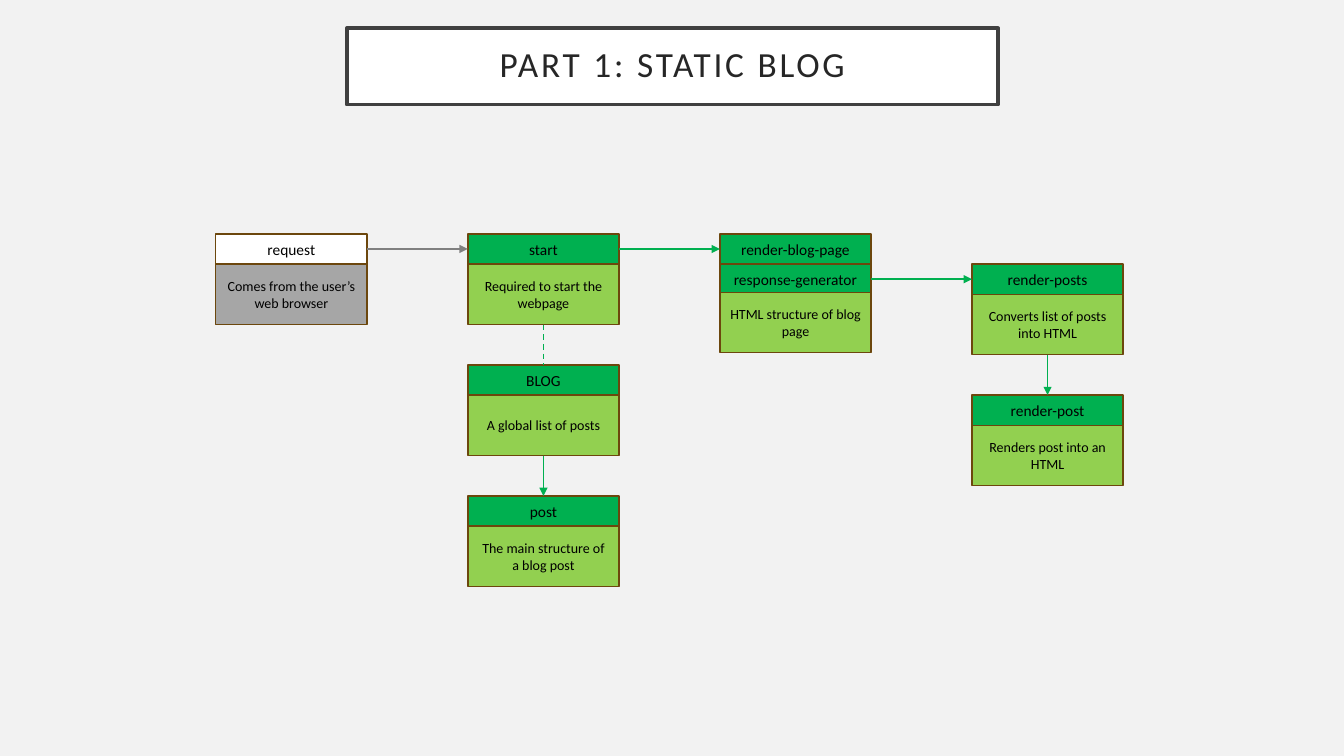
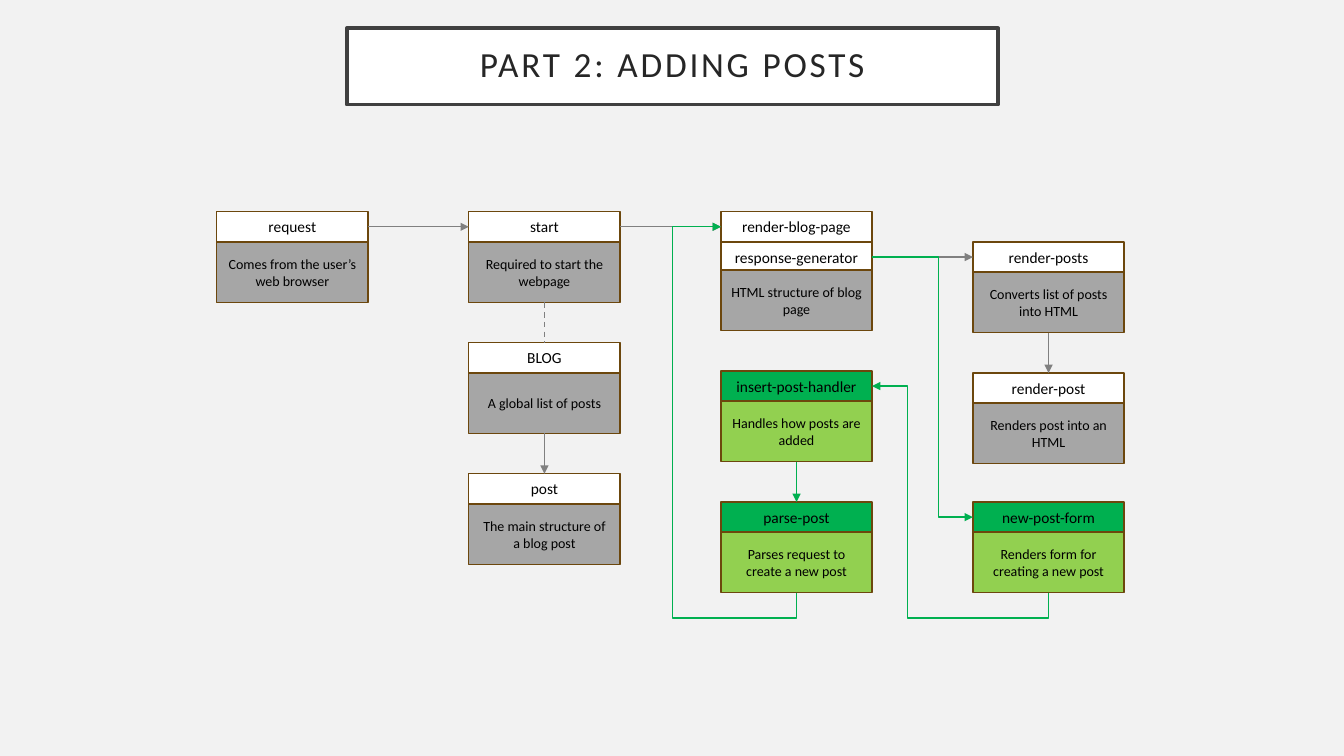
"""Draw two flow charts of a blog program, one slide for each part."""

from dataclasses import dataclass

from lxml.etree import SubElement as add_node
from pptx import Presentation
from pptx.dml.color import RGBColor as Rgb
from pptx.enum.dml import MSO_LINE_DASH_STYLE as Dash
from pptx.enum.shapes import MSO_AUTO_SHAPE_TYPE as Kind
from pptx.enum.shapes import MSO_CONNECTOR_TYPE as Path
from pptx.enum.text import MSO_ANCHOR as Anchor
from pptx.enum.text import PP_ALIGN as Align
from pptx.oxml.ns import qn
from pptx.shapes.autoshape import Shape
from pptx.shapes.connector import Connector as Wire
from pptx.slide import Slide
from pptx.util import Inches, Pt

FONT = "Calibri"
HUES = {
    "back": "F2F2F2", "white": "FFFFFF", "frame": "404040", "title": "262626",
    "text": "000000", "edge": "6C470D", "grey": "A6A6A6", "line": "808080",
    "green": "00B050", "lime": "92D050",
}
WIDE, HEAD, BODY = 1.5, 0.3, 0.6
STEP, ROW = 2.5, 1.3
DROP = 0.25
TOP, LEFT, BOTTOM, RIGHT = range(4)


@dataclass(frozen=True)
class Card:
    """A block with one or more heads, placed by column and drop from the top."""
    heads: tuple[str, ...]
    note: str
    col: int
    down: float
    new: bool = True


@dataclass(frozen=True)
class Link:
    """A straight line between two cards, level or downward."""
    start: str
    end: str
    level: bool = False
    dashed: bool = False


@dataclass(frozen=True)
class Bend:
    """A bent arrow that turns upright at a given place."""
    start: str
    start_side: int
    end: str
    end_side: int
    turn: float


@dataclass(frozen=True)
class Page:
    """The content of one slide."""
    title: str
    left: float
    top: float
    cards: tuple[Card, ...]
    links: tuple[Link, ...]
    bends: tuple[Bend, ...] = ()


@dataclass(frozen=True)
class Block:
    """A drawn head with the body below it."""
    head: Shape
    body: Shape
    new: bool


def flow(new: bool) -> tuple[Card, ...]:
    """List the cards of the static blog."""
    return (
        Card(("request",), "Comes from the user’s web browser", 0, 0, False),
        Card(("start",), "Required to start the webpage", 1, 0, new),
        Card(("BLOG",), "A global list of posts", 1, ROW, new),
        Card(("post",), "The main structure of a blog post", 1, 2 * ROW, new),
        Card(("render-blog-page", "response-generator"),
             "HTML structure of blog page", 2, 0, new),
        Card(("render-posts",), "Converts list of posts into HTML", 3, HEAD, new),
        Card(("render-post",), "Renders post into an HTML", 3, HEAD + ROW, new),
    )


LINKS = (
    Link("request", "start", level=True),
    Link("start", "render-blog-page", level=True),
    Link("response-generator", "render-posts", level=True),
    Link("start", "BLOG", dashed=True),
    Link("BLOG", "post"),
    Link("render-posts", "render-post"),
)
ADDED = (
    Card(("insert-post-handler",), "Handles how posts are added", 2, 1.58),
    Card(("parse-post",), "Parses request to create a new post", 2, 1.58 + ROW),
    Card(("new-post-form",), "Renders form for creating a new post", 3, 1.58 + ROW),
)
PAGES = (
    Page("PART 1: STATIC BLOG", 2.14, 2.32, flow(True), LINKS),
    Page("PART 2: ADDING POSTS", 2.15, 2.1, flow(False) + ADDED,
         LINKS + (Link("insert-post-handler", "parse-post"),),
         (Bend("new-post-form", BOTTOM, "insert-post-handler", RIGHT, 9),
          Bend("response-generator", RIGHT, "new-post-form", LEFT, 9.31),
          Bend("parse-post", BOTTOM, "render-blog-page", LEFT, 6.67))),
)


def hue(name: str) -> Rgb:
    """Look up a colour."""
    return Rgb.from_string(HUES[name])


def write(shape: Shape, text: str, *, size: float, tone: str = "text",
          inset: float | None = None, space: float = 1, track: int = 0) -> None:
    """Set centred text in a shape."""
    frame = shape.text_frame
    frame.word_wrap = True
    frame.vertical_anchor = Anchor.MIDDLE
    if inset is not None:
        frame.margin_left = frame.margin_right = Inches(inset)
        frame.margin_top = frame.margin_bottom = Inches(inset)
    para = frame.paragraphs[0]
    para.alignment = Align.CENTER
    para.line_spacing = space
    run = para.add_run()
    run.text = text
    run.font.name = FONT
    run.font.size = Pt(size)
    run.font.color.rgb = hue(tone)
    if track:
        run.font._element.set("spc", str(track))


def draw_box(slide: Slide, x: float, y: float, wide: float, high: float, *,
             fill: str, edge: str = "edge", weight: float = 1) -> Shape:
    """Draw a filled box with an outline."""
    box = slide.shapes.add_shape(
        Kind.RECTANGLE, Inches(x), Inches(y), Inches(wide), Inches(high))
    box.shadow.inherit = False
    box.fill.solid()
    box.fill.fore_color.rgb = hue(fill)
    box.line.color.rgb = hue(edge)
    box.line.width = Pt(weight)
    return box


def draw_card(slide: Slide, page: Page, card: Card) -> dict[str, Block]:
    """Draw a card and return its blocks by head name."""
    x, y = page.left + card.col * STEP, page.top + card.down
    heads = {}
    for i, name in enumerate(card.heads):
        fill = "green" if card.new else "white"
        heads[name] = draw_box(slide, x, y + i * HEAD, WIDE, HEAD, fill=fill)
        write(heads[name], name, size=11)
    count = len(heads)
    base = y + count * HEAD - 0.02 * (count - 1)
    body = draw_box(slide, x, base, WIDE, BODY,
                    fill="lime" if card.new else "grey")
    write(body, card.note, size=10)
    return {name: Block(head, body, card.new) for name, head in heads.items()}


def style(wire: Wire, tone: str, dashed: bool = False) -> None:
    """Give a line its colour, and a dash or an arrowhead."""
    wire.line.color.rgb = hue(tone)
    wire.line.width = Pt(1)
    props = wire.element.spPr
    if dashed:
        wire.line.dash_style = Dash.DASH
    else:
        add_node(props.find(qn("a:ln")), qn("a:tailEnd"), type="triangle")
    add_node(props, qn("a:effectLst"))


def draw_link(slide: Slide, blocks: dict[str, Block], link: Link) -> None:
    """Join two cards with a straight line."""
    start, end = blocks[link.start], blocks[link.end]
    wire = slide.shapes.add_connector(Path.STRAIGHT, 0, 0, 0, 0)
    if link.level:
        wire.begin_connect(start.head, RIGHT)
        wire.end_connect(end.head, LEFT)
    else:
        wire.begin_connect(start.body, BOTTOM)
        wire.end_connect(end.head, TOP)
    style(wire, "green" if start.new else "line", link.dashed)


def spot(block: Block, side: int) -> tuple[int, int]:
    """Find the middle of a side of a block."""
    box = block.body if side == BOTTOM else block.head
    across = {LEFT: 0, RIGHT: box.width}.get(side, box.width // 2)
    down = {TOP: 0, BOTTOM: box.height}.get(side, box.height // 2)
    return box.left + across, box.top + down


def draw_bend(slide: Slide, blocks: dict[str, Block], bend: Bend) -> None:
    """Draw a bent arrow, first dropping if it leaves from a bottom side."""
    x1, y1 = spot(blocks[bend.start], bend.start_side)
    x2, y2 = spot(blocks[bend.end], bend.end_side)
    wire = slide.shapes.add_connector(Path.ELBOW, x1, y1, x2, y2)
    wide, high = abs(x2 - x1), abs(y2 - y1)
    ratios = [abs(Inches(bend.turn) - x1) / wide]
    shape = wire.element.spPr.find(qn("a:prstGeom"))
    if bend.start_side == BOTTOM:
        ratios.insert(0, -Inches(DROP) / high)
        shape.set("prst", "bentConnector4")
        wire.left, wire.top = (x1 + x2 - high) // 2, (y1 + y2 - wide) // 2
        wire.width, wire.height = high, wide
        frame = wire.element.spPr.find(qn("a:xfrm"))
        frame.set("rot", "5400000")
        frame.set("flipH", "1")
        frame.set("flipV", "0")
    guides = shape.find(qn("a:avLst"))
    if guides is None:
        guides = add_node(shape, qn("a:avLst"))
    for i, ratio in enumerate(ratios, 1):
        add_node(guides, qn("a:gd"), name=f"adj{i}",
                 fmla=f"val {round(ratio * 100000)}")
    style(wire, "green")


def draw_page(slide: Slide, page: Page) -> None:
    """Draw the title, cards and lines of a slide."""
    slide.background.fill.solid()
    slide.background.fill.fore_color.rgb = hue("back")
    title = draw_box(slide, 3.44, 0.28, 6.46, 0.76,
                     fill="white", edge="frame", weight=2.5)
    write(title, page.title, size=25.2, tone="title",
          inset=0.2, space=0.9, track=200)
    blocks: dict[str, Block] = {}
    for card in page.cards:
        blocks.update(draw_card(slide, page, card))
    for link in page.links:
        draw_link(slide, blocks, link)
    for bend in page.bends:
        draw_bend(slide, blocks, bend)


def main() -> None:
    """Build and save the deck."""
    deck = Presentation()
    deck.slide_width, deck.slide_height = Inches(13.33), Inches(7.5)
    for page in PAGES:
        draw_page(deck.slides.add_slide(deck.slide_layouts[6]), page)
    deck.save("out.pptx")


if __name__ == "__main__":
    main()
